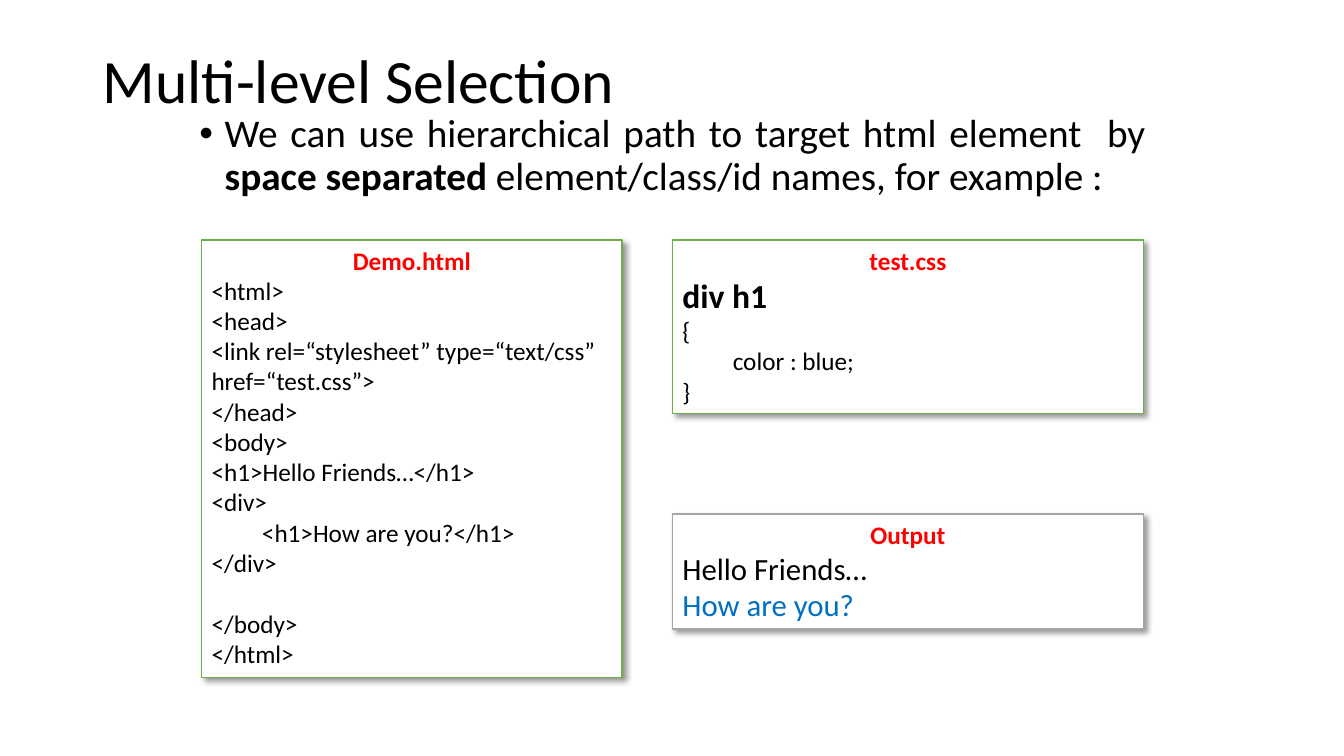
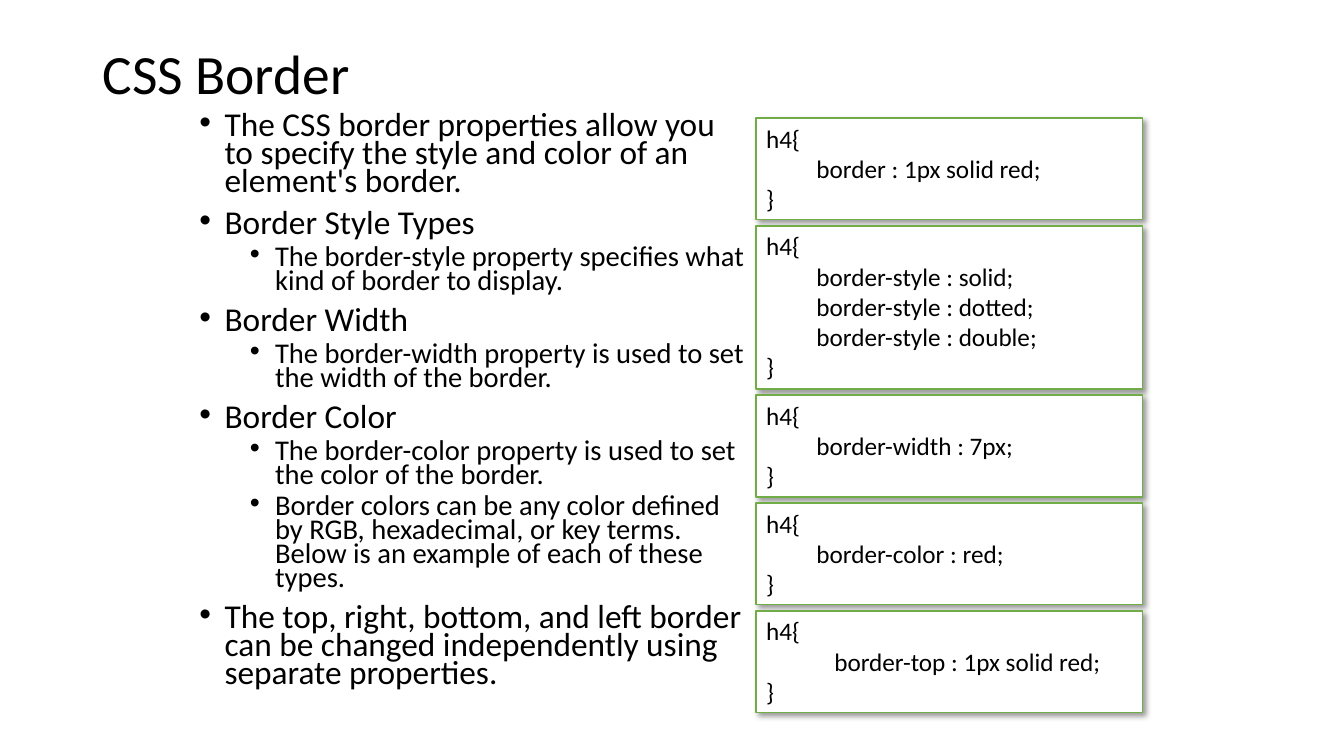
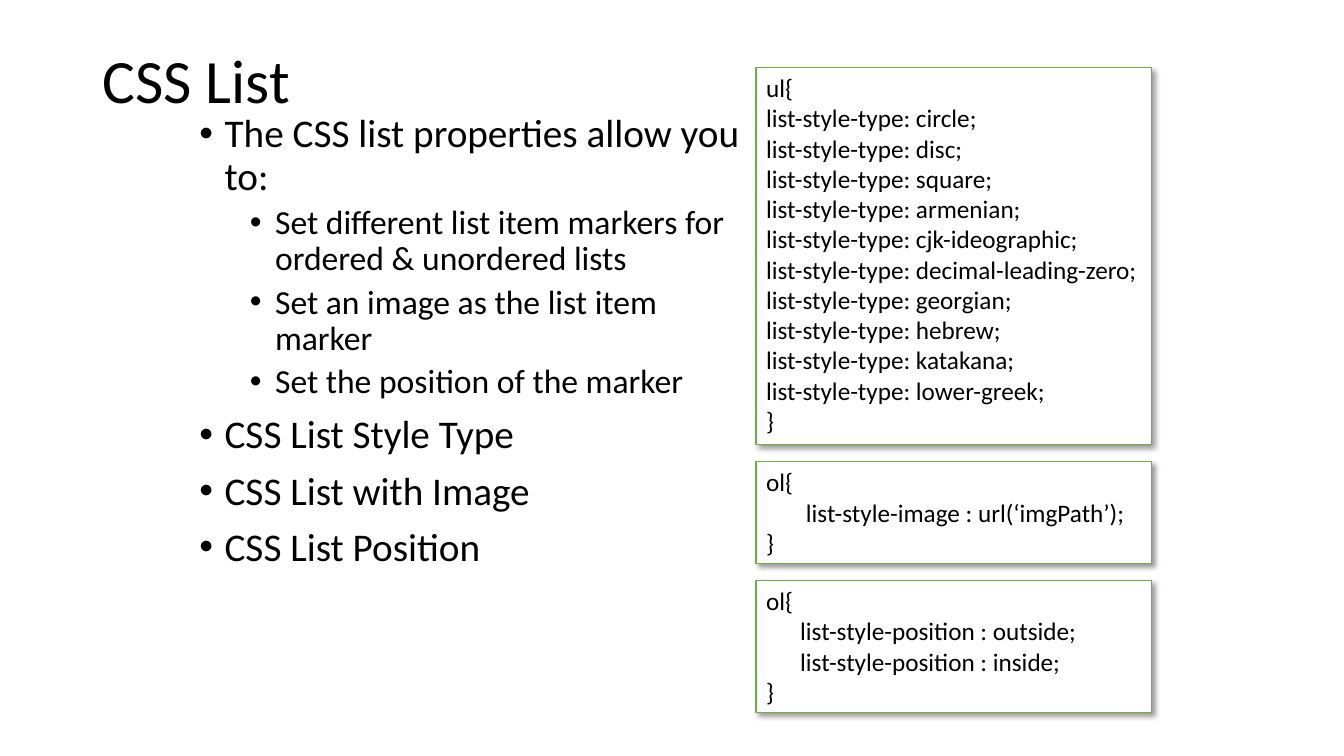
import dataclasses

import lxml.etree
import pptx
import pptx.dml.color
import pptx.enum.shapes
import pptx.enum.text
import pptx.oxml.ns
import pptx.util

EMU_PER_PX = 9144
ALIGN = pptx.enum.text.PP_ALIGN
ANCHOR = pptx.enum.text.MSO_ANCHOR
AUTO_SIZE = pptx.enum.text.MSO_AUTO_SIZE


@dataclasses.dataclass(frozen=True)
class Theme:
    font: str = "Calibri"
    bullet_font: str = "Arial"
    ink: str = "000000"
    paper: str = "FFFFFF"
    heading: str = "FF0000"
    blue: str = "0070C0"
    green: str = "70AD47"
    gray: str = "A5A5A5"
    title_size: float = 44
    body_sizes: tuple = (28, 24)
    code_size: float = 18
    output_size: float = 22
    selector_size: float = 24


def px(value):
    return pptx.util.Emu(value * EMU_PER_PX)


def rgb(value):
    return pptx.dml.color.RGBColor.from_string(value)


def add_xml(parent, tag, **attributes):
    return lxml.etree.SubElement(parent, pptx.oxml.ns.qn(tag), attributes)


class Deck:
    def __init__(self, theme):
        self.theme = theme
        self.presentation = pptx.Presentation()
        self.presentation.slide_width = px(1333)
        self.presentation.slide_height = px(750)
        self.slide = None

    def new_slide(self, title, title_height=86, title_size=None):
        layout = self.presentation.slide_layouts[6]
        self.slide = self.presentation.slides.add_slide(layout)
        frame = self.text_frame(92, 40, 1150, title_height)
        frame.vertical_anchor = ANCHOR.MIDDLE
        frame.text = title
        frame.paragraphs[0].line_spacing = 0.9
        self.style(frame.paragraphs[0], title_size or self.theme.title_size)

    def text_frame(self, left, top, width, height):
        box = self.slide.shapes.add_textbox(px(left), px(top), px(width), px(height))
        box.text_frame.word_wrap = True
        return box.text_frame

    def style(self, paragraph, size, color=None, bold=False):
        for run in paragraph.runs:
            run.font.name = self.theme.font
            run.font.size = pptx.util.Pt(size)
            run.font.bold = bold
            run.font.color.rgb = rgb(color or self.theme.ink)

    def bullets(self, width, height, items, sizes=None, spacing=0.9, align=None):
        frame = self.text_frame(188, 108, width, height)
        sizes = sizes or self.theme.body_sizes
        for index, (level, text) in enumerate(items):
            paragraph = frame.paragraphs[0] if index == 0 else frame.add_paragraph()
            properties = paragraph._p.get_or_add_pPr()
            properties.set("marL", str(px(25 + 50 * level)))
            properties.set("indent", str(px(-25)))
            add_xml(properties, "a:buFont", typeface=self.theme.bullet_font)
            add_xml(properties, "a:buChar", char="•")
            paragraph.level = level
            paragraph.line_spacing = spacing
            paragraph.alignment = align
            if index:
                paragraph.space_before = pptx.util.Pt((10, 5)[level])
            paragraph.text = text
            self.style(paragraph, sizes[level])
        return frame.paragraphs

    def panel(self, left, top, width, height, text, outline=None, headed=False):
        box = self.slide.shapes.add_shape(
            pptx.enum.shapes.MSO_SHAPE.RECTANGLE, px(left), px(top), px(width), px(height)
        )
        box.fill.solid()
        box.fill.fore_color.rgb = rgb(self.theme.paper)
        box.line.color.rgb = rgb(outline or self.theme.green)
        box.line.width = pptx.util.Pt(1)
        self.cast_shadow(box)
        frame = box.text_frame
        frame.word_wrap = True
        frame.auto_size = AUTO_SIZE.SHAPE_TO_FIT_TEXT
        frame.vertical_anchor = ANCHOR.TOP
        frame.text = text
        for paragraph in frame.paragraphs:
            paragraph.alignment = ALIGN.LEFT
            self.style(paragraph, self.theme.code_size)
        if headed:
            frame.paragraphs[0].alignment = ALIGN.CENTER
            self.style(frame.paragraphs[0], self.theme.code_size, self.theme.heading, True)
        return frame.paragraphs

    def cast_shadow(self, box):
        box.shadow.inherit = False
        effects = box._element.spPr.find(pptx.oxml.ns.qn("a:effectLst"))
        shadow = add_xml(
            effects, "a:outerShdw", blurRad=str(pptx.util.Pt(4)),
            dist=str(pptx.util.Pt(3)), dir="2700000", algn="tl", rotWithShape="0",
        )
        color = add_xml(shadow, "a:srgbClr", val=self.theme.ink)
        add_xml(color, "a:alpha", val="40000")

    def code_stack(self, top, width, gap, snippets):
        for snippet in snippets:
            height = round(10 + 30.3 * len(snippet.split("\n")))
            self.panel(750, top, width, height, snippet)
            top += height + gap


def multi_level_selection(deck):
    theme = deck.theme
    deck.new_slide("Multi-level Selection")
    intro = deck.bullets(
        958, 117,
        [(0, "We can use hierarchical path to target html element  by ")],
        align=ALIGN.JUSTIFY,
    )[0]
    for phrase in ("space separated", " element/class/id names, for example :"):
        intro.add_run().text = phrase
    deck.style(intro, theme.body_sizes[0])
    intro.runs[1].font.bold = True

    html = deck.panel(
        200, 238, 417, 434,
        "Demo.html\n<html>\n<head>\n"
        "<link rel=“stylesheet” type=“text/css” href=“test.css”>\n"
        "</head>\n<body>\n<h1>Hello Friends…</h1>\n<div>\n"
        "\t<h1>How are you?</h1>\n</div>\n</body>\n</html>",
        headed=True,
    )
    html[-2].space_before = pptx.util.Pt(22)

    css = deck.panel(
        667, 238, 467, 172, "test.css\ndiv h1\n{\n\tcolor : blue;\n}", headed=True
    )
    deck.style(css[1], theme.selector_size, bold=True)

    output = deck.panel(
        667, 510, 467, 114, "Output\nHello Friends…\nHow are you?",
        outline=theme.gray, headed=True,
    )
    deck.style(output[1], theme.output_size)
    deck.style(output[2], theme.output_size, theme.blue)


def css_border(deck):
    deck.new_slide("CSS Border", title_height=72, title_size=39.6)
    deck.bullets(562, 583, [
        (0, "The CSS border properties allow you to specify the style and color of an element's border."),
        (0, "Border Style Types"),
        (1, "The border-style property specifies what kind of border to display."),
        (0, "Border Width"),
        (1, "The border-width property is used to set the width of the border."),
        (0, "Border Color"),
        (1, "The border-color property is used to set the color of the border."),
        (1, "Border colors can be any color defined by RGB, hexadecimal, or key terms. "
            "Below is an example of each of these types."),
        (0, "The top, right, bottom, and left border can be changed independently "
            "using separate properties."),
    ], sizes=(23.8, 20.4), spacing=0.7)
    rules = (
        "\tborder : 1px solid red;",
        "\tborder-style : solid;\n\tborder-style : dotted;\n\tborder-style : double;",
        "\tborder-width : 7px;",
        "\tborder-color : red;",
        "            border-top : 1px solid red;",
    )
    deck.code_stack(117, 383, 6, [f"h4{{\n{rule}\n}}" for rule in rules])


def css_list(deck):
    deck.new_slide("CSS List", title_height=85)
    deck.bullets(562, 583, [
        (0, "The CSS list properties allow you to:"),
        (1, "Set different list item markers for ordered & unordered lists"),
        (1, "Set an image as the list item marker"),
        (1, "Set the position of the marker"),
        (0, "CSS List Style Type"),
        (0, "CSS List with Image"),
        (0, "CSS List Position"),
    ])
    markers = (
        "circle", "disc", "square", "armenian", "cjk-ideographic",
        "decimal-leading-zero", "georgian", "hebrew", "katakana", "lower-greek",
    )
    marker_rules = "\n".join(f"list-style-type: {marker};" for marker in markers)
    deck.code_stack(67, 392, 17, [
        f"ul{{\n{marker_rules}\n}}",
        "ol{\n       list-style-image : url(‘imgPath’);\n}",
        "ol{\n      list-style-position : outside;\n      list-style-position : inside;\n}",
    ])


def main():
    deck = Deck(Theme())
    for build in (multi_level_selection, css_border, css_list):
        build(deck)
    deck.presentation.save("out.pptx")


if __name__ == "__main__":
    main()
